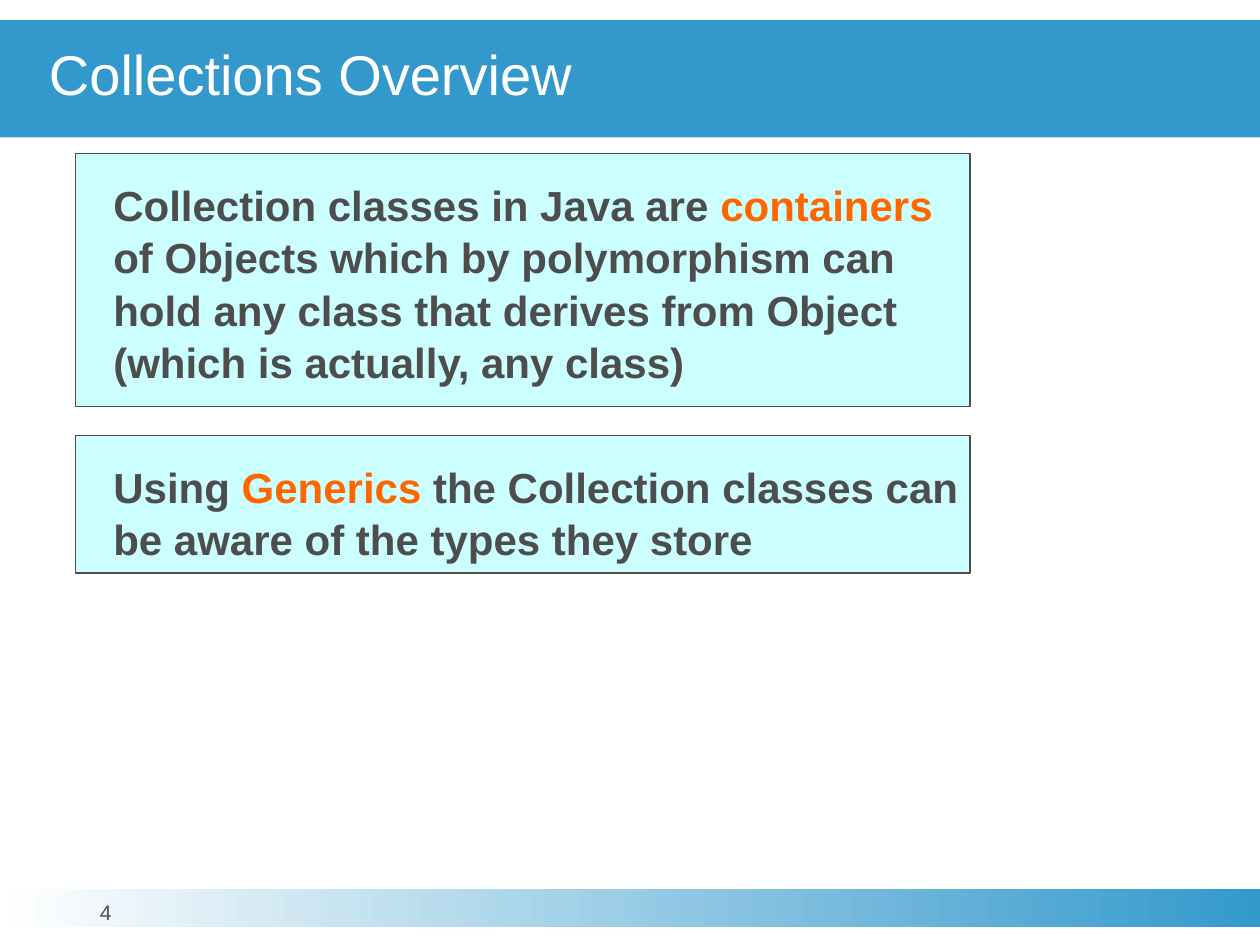
from pptx import Presentation
from pptx.dml.color import RGBColor
from pptx.enum.shapes import MSO_SHAPE as Preset
from pptx.enum.text import MSO_ANCHOR as Anchor, PP_ALIGN as Align
from pptx.util import Pt

BLUE, WHITE, GREY = "3399CC", "FFFFFF", "4D4D4D"
PALE_CYAN, ORANGE = "CCFFFF", "FF6600"
PAGE_WIDTH, PAGE_HEIGHT = 720, 540


def color(hex_string):
    return RGBColor.from_string(hex_string)


def add_panel(page, box, fill, outline=None):
    panel = page.shapes.add_shape(Preset.RECTANGLE, *map(Pt, box))
    panel.shadow.inherit = False
    panel.fill.solid()
    panel.fill.fore_color.rgb = color(fill)
    if outline:
        panel.line.color.rgb = color(outline)
        panel.line.width = Pt(0.75)
    else:
        panel.line.fill.background()
    return panel


def set_frame(shape, left=0, top=0, anchor=Anchor.TOP):
    """Sets wrapping, anchor and insets, and returns the first paragraph."""
    frame = shape.text_frame
    frame.word_wrap = True
    frame.vertical_anchor = anchor
    frame.margin_left, frame.margin_top = Pt(left), Pt(top)
    frame.margin_right = frame.margin_bottom = 0
    para = frame.paragraphs[0]
    para.alignment = Align.LEFT
    return para


def add_span(para, text, size, hex_string, bold=False):
    span = para.add_run()
    span.text = text
    span.font.name = "Arial"
    span.font.size = Pt(size)
    span.font.bold = bold
    span.font.color.rgb = color(hex_string)


def add_title(page, box, text):
    para = set_frame(add_panel(page, box, BLUE), left=28, anchor=Anchor.MIDDLE)
    para.line_spacing = 0.85
    add_span(para, text, 32, WHITE)


def add_statement(page, box, before, keyword, after):
    para = set_frame(add_panel(page, box, PALE_CYAN, GREY), left=21.6, top=13.5)
    para.line_spacing = 1.04
    for text, hex_string in ((before, GREY), (keyword, ORANGE), (after, GREY)):
        add_span(para, text, 24, hex_string, bold=True)


def add_footer(page, box, number):
    left, top, width, height = box
    band = add_panel(page, box, BLUE)
    band.fill.gradient()
    band.fill.gradient_angle = 0
    for stop, hex_string, position in zip(band.fill.gradient_stops, (WHITE, BLUE), (0, 1)):
        stop.color.rgb = color(hex_string)
        stop.position = position
    label = page.shapes.add_textbox(Pt(left + 22.3), Pt(top + 7.2), Pt(76.3), Pt(22.3))
    para = set_frame(label)
    para.alignment = Align.CENTER
    para.line_spacing = Pt(13)
    add_span(para, number, 12, GREY)


def main():
    deck = Presentation()
    deck.slide_width, deck.slide_height = Pt(PAGE_WIDTH), Pt(PAGE_HEIGHT)
    page = deck.slides.add_slide(deck.slide_layouts[6])
    add_footer(page, (0, 508.3, PAGE_WIDTH, 21.6), "4")
    add_title(page, (0, 11.5, PAGE_WIDTH, 67), "Collections Overview")
    add_statement(page, (43.2, 87.8, 511.2, 144.7),
                  "Collection classes in Java are ", "containers",
                  " of Objects which by polymorphism can hold any class that "
                  "derives from Object (which is actually, any class)")
    add_statement(page, (43.2, 249, 511.2, 78.5),
                  "Using ", "Generics",
                  " the Collection classes can be aware of the types they store")
    deck.save("out.pptx")


if __name__ == "__main__":
    main()
